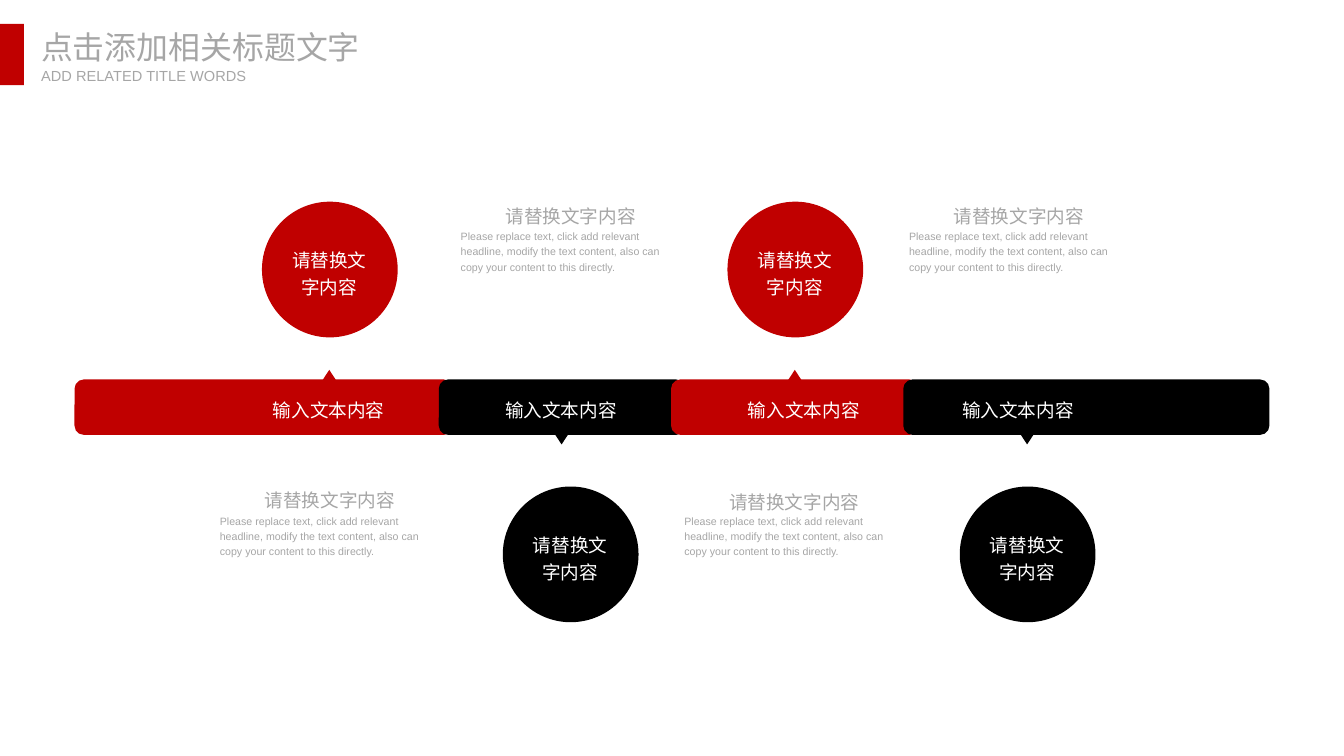
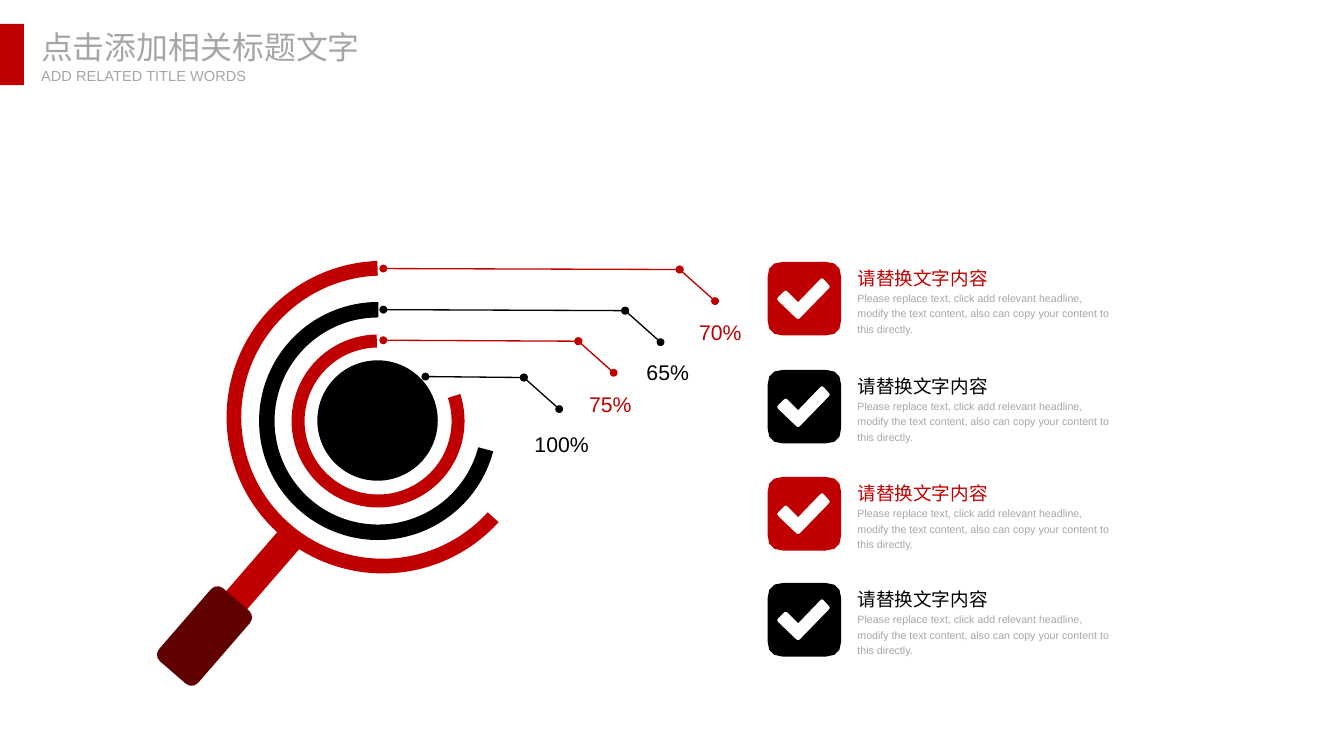
"""Build a two-slide deck: a four-step timeline and a magnifier infographic."""
from dataclasses import dataclass
from typing import NamedTuple

from lxml.etree import SubElement
from pptx import Presentation
from pptx.dml.color import RGBColor
from pptx.enum.shapes import MSO_CONNECTOR, MSO_SHAPE
from pptx.enum.text import MSO_ANCHOR, MSO_AUTO_SIZE, PP_ALIGN
from pptx.oxml.ns import qn
from pptx.presentation import Presentation as Deck
from pptx.shapes.autoshape import Shape
from pptx.slide import Slide
from pptx.util import Inches, Pt

RED, DARK_RED, BLACK, GREY, WHITE = "C00000", "600000", "000000", "A6A6A6", "FFFFFF"
TITLE_FONT, TEXT_FONT = "Noto Sans CJK SC", "Arial"
HEADLINE = "请替换文字内容"
DESCRIPTION = (
    "Please replace text, click add relevant headline, modify the text content, "
    "also can copy your content to this directly."
)
TITLE_ONLY = 5
BAR_TOP, BAR_HEIGHT = 3.97, 0.58
POINTER_WIDTH, POINTER_HEIGHT = 0.17, 0.13
CIRCLE_SIZE = 1.42
TILE_LEFT, TILE_SIZE = 8.03, 0.77
TILE_TOPS = (2.74, 3.87, 4.99, 6.1)
CURVE_PARTS = 3
LEADER_RISE = 0.01


class Frame(NamedTuple):
    """Position and size in inches."""

    left: float
    top: float
    width: float
    height: float


class Corner(NamedTuple):
    """An outline vertex in inches with the length cut off for rounding."""

    x: float
    y: float
    cut: float


@dataclass(frozen=True)
class Step:
    """One timeline step, with its circle above or below the bar."""

    color: str
    above: bool
    bar_left: float
    bar_width: float
    pointer_left: float
    circle_left: float
    label_left: float
    note_left: float
    headline_top: float


@dataclass(frozen=True)
class Ring:
    """One open ring of the lens, with angles in degrees."""

    color: str
    frame: Frame
    start: float
    end: float
    thickness: float


@dataclass(frozen=True)
class Callout:
    """A bent leader line with a percentage at its end."""

    color: str
    text: str
    start_x: float
    bend_x: float
    level: float
    label: Frame


STEPS = (
    Step(RED, True, 0.78, 3.96, 3.36, 2.74, 2.64, 2.3, 5.07),
    Step(BLACK, False, 4.59, 2.58, 5.79, 5.26, 5.07, 4.82, 2.1),
    Step(RED, True, 7.02, 2.59, 8.23, 7.61, 7.61, 7.16, 5.09),
    Step(BLACK, False, 9.45, 3.83, 10.66, 10.04, 9.85, 9.51, 2.1),
)
RINGS = (
    Ring(BLACK, Frame(2.71, 3.16, 2.49, 2.49), 329.71, 225.12, 0.065),
    Ring(RED, Frame(2.37, 2.73, 3.27, 3.27), 357.22, 222.97, 0.047),
    Ring(RED, Frame(3.05, 3.5, 1.81, 1.81), 296.77, 224.08, 0.075),
)
CALLOUTS = (
    Callout(RED, "70%", 4.01, 7.11, 2.82, Frame(7.31, 3.32, 0.45, 0.29)),
    Callout(BLACK, "65%", 4.01, 6.54, 3.25, Frame(6.76, 3.74, 0.45, 0.29)),
    Callout(RED, "75%", 4.01, 6.05, 3.57, Frame(6.16, 4.07, 0.45, 0.29)),
    Callout(BLACK, "100%", 4.45, 5.48, 3.95, Frame(5.59, 4.49, 0.57, 0.29)),
)
TILE_CORNERS = tuple(
    Corner(x, y, 0.16)
    for x, y in ((0, 0), (TILE_SIZE, 0), (TILE_SIZE, TILE_SIZE), (0, TILE_SIZE))
)
CHECK_CORNERS = (
    Corner(0.66, 0.26, 0.03),
    Corner(0.57, 0.16, 0.03),
    Corner(0.32, 0.42, 0),
    Corner(0.19, 0.29, 0.03),
    Corner(0.09, 0.39, 0.03),
    Corner(0.32, 0.61, 0.03),
)


def color_of(value: str) -> RGBColor:
    """Turn a hex string into a colour."""
    return RGBColor.from_string(value)


def inches(*lengths: float) -> list[int]:
    """Convert lengths in inches for python-pptx."""
    return [Inches(length) for length in lengths]


def paint(shape: Shape, color: str) -> None:
    """Give a shape a flat fill without line or shadow."""
    shape.shadow.inherit = False
    shape.fill.solid()
    shape.fill.fore_color.rgb = color_of(color)
    shape.line.fill.background()


def add_figure(
    page: Slide, kind: MSO_SHAPE, frame: Frame, color: str, rotation: float = 0
) -> Shape:
    """Draw a filled preset shape."""
    shape = page.shapes.add_shape(kind, *inches(*frame))
    paint(shape, color)
    shape.rotation = rotation
    return shape


def write(
    box: Shape,
    text: str,
    *,
    size: float,
    color: str,
    font: str = TEXT_FONT,
    align: PP_ALIGN = PP_ALIGN.LEFT,
    anchor: MSO_ANCHOR = MSO_ANCHOR.TOP,
    spacing: float = 1.2,
    wrap: bool = True,
) -> None:
    """Fill a box with one formatted paragraph."""
    body = box.text_frame
    body.auto_size = MSO_AUTO_SIZE.NONE
    body.word_wrap = wrap
    body.vertical_anchor = anchor
    body.margin_left = body.margin_right = body.margin_top = body.margin_bottom = 0
    para = body.paragraphs[0]
    para.alignment = align
    para.line_spacing = spacing
    span = para.add_run()
    span.text = text
    span.font.size = Pt(size)
    span.font.name = font
    span.font.color.rgb = color_of(color)
    SubElement(span.font._element, qn("a:ea"), typeface=font)


def add_text(page: Slide, frame: Frame, text: str, **style) -> None:
    """Add a text box in the given format."""
    write(page.shapes.add_textbox(*inches(*frame)), text, **style)


def add_header(page: Slide) -> None:
    """Draw the red tab, the title and the subtitle."""
    add_figure(page, MSO_SHAPE.RECTANGLE, Frame(0, 0.25, 0.25, 0.64), RED)
    title = page.shapes.title
    title.left, title.top, title.width, title.height = inches(0.43, 0.25, 3.37, 0.48)
    write(title, "点击添加相关标题文字", size=24, color=GREY, font=TITLE_FONT,
          anchor=MSO_ANCHOR.MIDDLE, spacing=1.0, wrap=False)
    add_text(page, Frame(0.43, 0.7, 2.18, 0.19), "ADD RELATED TITLE WORDS",
             size=11, color=GREY, spacing=1.0, wrap=False)


def add_step(page: Slide, step: Step) -> None:
    """Draw one timeline step with its bar, circle and note."""
    pointer_top = 3.87 if step.above else 4.52
    circle_top = 2.11 if step.above else 5.09
    note_top = 5.36 if step.above else 2.38
    bar = Frame(step.bar_left, BAR_TOP, step.bar_width, BAR_HEIGHT)
    add_figure(page, MSO_SHAPE.ROUNDED_RECTANGLE, bar, step.color)
    pointer = Frame(step.pointer_left, pointer_top, POINTER_WIDTH, POINTER_HEIGHT)
    add_figure(page, MSO_SHAPE.ISOSCELES_TRIANGLE, pointer, step.color,
               0 if step.above else 180)
    circle = Frame(step.circle_left, circle_top, CIRCLE_SIZE, CIRCLE_SIZE)
    add_figure(page, MSO_SHAPE.OVAL, circle, step.color)
    centred = {"size": 14, "align": PP_ALIGN.CENTER}
    add_text(page, Frame(circle.left + 0.29, circle.top + 0.45, 0.83, 0.57),
             HEADLINE, color=WHITE, **centred)
    add_text(page, Frame(step.label_left, 4.13, 1.6, 0.28),
             "输入文本内容", color=WHITE, **centred)
    add_text(page, Frame(step.note_left + 0.35, step.headline_top, 1.6, 0.28),
             HEADLINE, color=GREY, **centred)
    add_text(page, Frame(step.note_left, note_top, 2.3, 0.47),
             DESCRIPTION, size=8, color=GREY)


def add_ring(page: Slide, ring: Ring) -> None:
    """Draw one open ring of the lens."""
    arc = add_figure(page, MSO_SHAPE.BLOCK_ARC, ring.frame, ring.color, 45)
    arc.adjustments[0] = ring.start * 0.6
    arc.adjustments[1] = ring.end * 0.6
    arc.adjustments[2] = ring.thickness


def add_magnifier(page: Slide) -> None:
    """Draw the magnifier: handle, rings and core."""
    black_ring, *red_rings = RINGS
    add_ring(page, black_ring)
    add_figure(page, MSO_SHAPE.RECTANGLE, Frame(2.53, 5.42, 0.29, 1.26), RED, 40.9)
    add_figure(page, MSO_SHAPE.ROUNDED_RECTANGLE, Frame(1.87, 6.15, 0.54, 1.01),
               DARK_RED, 40.9)
    for ring in red_rings:
        add_ring(page, ring)
    add_figure(page, MSO_SHAPE.OVAL, Frame(3.32, 3.77, 1.26, 1.26), BLACK)


def add_leader(page: Slide, ends: tuple[float, ...], color: str) -> None:
    """Draw a line with a dot at both ends."""
    leader = page.shapes.add_connector(MSO_CONNECTOR.STRAIGHT, *inches(*ends))
    leader.line.color.rgb = color_of(color)
    leader.line.width = Pt(1)
    properties = leader._element.spPr
    for tag in ("a:headEnd", "a:tailEnd"):
        SubElement(properties.find(qn("a:ln")), qn(tag), type="oval")
    SubElement(properties, qn("a:effectLst"))


def add_callout(page: Slide, callout: Callout) -> None:
    """Draw a bent leader line and its percentage."""
    start = (callout.start_x, callout.level - LEADER_RISE)
    bend = (callout.bend_x, callout.level)
    tip = (callout.bend_x + 0.37, callout.level + 0.33)
    add_leader(page, tip + bend, callout.color)
    add_leader(page, bend + start, callout.color)
    add_text(page, callout.label, callout.text, size=16, color=callout.color,
             align=PP_ALIGN.CENTER, anchor=MSO_ANCHOR.BOTTOM, wrap=False)


def rounded_outline(
    corners: tuple[Corner, ...], left: float, top: float
) -> list[tuple[int, int]]:
    """Trace a polygon with its corners rounded by quadratic curves."""
    points = []
    for index, corner in enumerate(corners):
        following = corners[(index + 1) % len(corners)]
        ends = []
        for other in (corners[index - 1], following):
            length = ((other.x - corner.x) ** 2 + (other.y - corner.y) ** 2) ** 0.5
            share = corner.cut / length
            ends.append((corner.x + (other.x - corner.x) * share,
                         corner.y + (other.y - corner.y) * share))
        (x1, y1), (x2, y2) = ends
        for part in range(CURVE_PARTS + 1 if corner.cut else 1):
            t = part / CURVE_PARTS
            a, b, c = (1 - t) ** 2, 2 * t * (1 - t), t * t
            points.append((Inches(left + a * x1 + b * corner.x + c * x2),
                           Inches(top + a * y1 + b * corner.y + c * y2)))
    return points


def add_check_item(page: Slide, top: float, color: str) -> None:
    """Draw a tile with a cut-out check mark beside its text."""
    tile = rounded_outline(TILE_CORNERS, TILE_LEFT, top)
    check = rounded_outline(CHECK_CORNERS, TILE_LEFT, top)
    builder = page.shapes.build_freeform(*tile[0])
    builder.add_line_segments(tile[1:], close=True)
    builder.move_to(*check[0])
    builder.add_line_segments(check[1:], close=True)
    paint(builder.convert_to_shape(), color)
    add_text(page, Frame(8.97, top + 0.01, 1.37, 0.26), HEADLINE,
             size=14, color=color, wrap=False)
    add_text(page, Frame(8.97, top + 0.29, 2.7, 0.48), DESCRIPTION, size=8, color=GREY)


def add_page(deck: Deck) -> Slide:
    """Add a slide with the shared header."""
    page = deck.slides.add_slide(deck.slide_layouts[TITLE_ONLY])
    add_header(page)
    return page


def main() -> None:
    """Build and save the deck."""
    deck = Presentation()
    deck.slide_width, deck.slide_height = inches(14.06, 7.91)
    timeline = add_page(deck)
    for step in STEPS:
        add_step(timeline, step)
    infographic = add_page(deck)
    add_magnifier(infographic)
    for callout, top in zip(CALLOUTS, TILE_TOPS):
        add_callout(infographic, callout)
        add_check_item(infographic, top, callout.color)
    deck.save("out.pptx")


if __name__ == "__main__":
    main()
